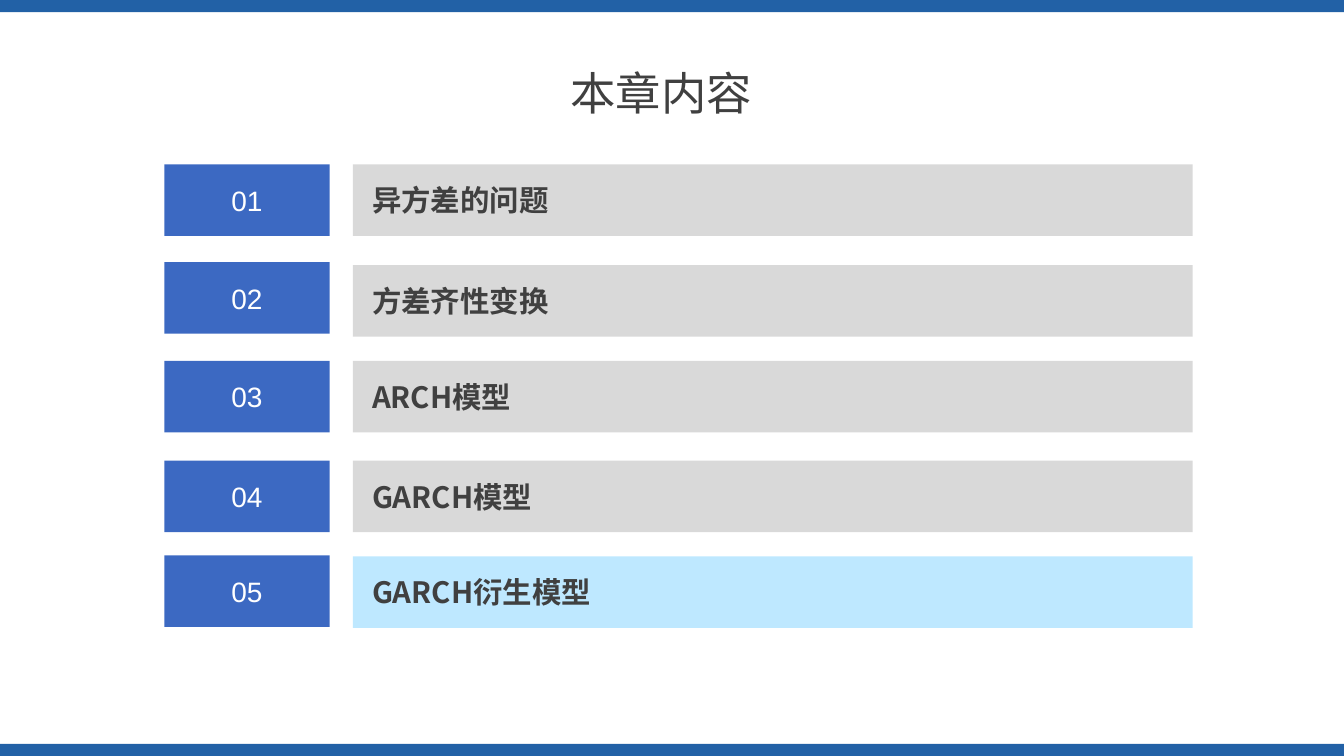
from pptx import Presentation
from pptx.dml.color import RGBColor
from pptx.enum.shapes import MSO_SHAPE as Shape
from pptx.enum.text import MSO_ANCHOR as Anchor, PP_ALIGN as Align
from pptx.oxml.ns import qn
from pptx.util import Inches, Pt
from lxml import etree

WIDTH, HEIGHT = 13.33, 7.5
BAND_HEIGHT = 0.12
CHINESE_FONT = "Noto Sans CJK SC"

TITLE_FORMAT = {"name": CHINESE_FONT, "size": Pt(32.4)}
NUMBER_FORMAT = {"name": "Arial", "size": Pt(20)}
LABEL_FORMAT = {"name": CHINESE_FONT, "size": Pt(21), "bold": True}

# Chapter name, top of the number box, top of the label bar, bar colour
CHAPTERS = [
    ("异方差的问题", 1.63, 1.63, "D9D9D9"),
    ("方差齐性变换", 2.6, 2.63, "D9D9D9"),
    ("ARCH模型", 3.58, 3.58, "D9D9D9"),
    ("GARCH模型", 4.57, 4.57, "D9D9D9"),
    ("GARCH衍生模型", 5.51, 5.52, "BEE8FF"),
]


def color(value):
    return RGBColor.from_string(value)


def add_bar(slide, left, top, width, height, fill):
    shape = slide.shapes.add_shape(
        Shape.RECTANGLE, Inches(left), Inches(top), Inches(width), Inches(height))
    shape.shadow.inherit = False
    shape.fill.solid()
    shape.fill.fore_color.rgb = color(fill)
    shape.line.fill.background()
    return shape


def write(shape, text, font_format, text_color, align=Align.LEFT, inset=0.1):
    """Put one vertically centred line of text into a shape."""
    frame = shape.text_frame
    frame.word_wrap = True
    frame.vertical_anchor = Anchor.MIDDLE
    frame.margin_left = Inches(inset)
    paragraph = frame.paragraphs[0]
    paragraph.alignment = align
    run = paragraph.add_run()
    run.text = text
    for name, value in font_format.items():
        setattr(run.font, name, value)
    run.font.color.rgb = color(text_color)
    east_asian = etree.SubElement(run.font._element, qn("a:ea"))
    east_asian.set("typeface", font_format["name"])


def add_bands(slide):
    for top in (0, HEIGHT - BAND_HEIGHT):
        add_bar(slide, 0, top, WIDTH, BAND_HEIGHT, "2261A6")


def add_title(slide, left, top, width, height):
    box = slide.shapes.add_textbox(
        Inches(left), Inches(top), Inches(width), Inches(height))
    write(box, "本章内容", TITLE_FORMAT, "404040")


def add_chapters(slide, left, width, row_height=0.71):
    number_width, label_offset = 1.64, 1.87
    for number, (name, number_top, label_top, fill) in enumerate(CHAPTERS, 1):
        number_box = add_bar(
            slide, left, number_top, number_width, row_height, "3C69C2")
        write(number_box, f"{number:02}", NUMBER_FORMAT, "FFFFFF", Align.CENTER)
        label_bar = add_bar(slide, left + label_offset, label_top,
                            width - label_offset, row_height, fill)
        write(label_bar, name, LABEL_FORMAT, "404040", inset=0.19)


def main():
    presentation = Presentation()
    presentation.slide_width = Inches(WIDTH)
    presentation.slide_height = Inches(HEIGHT)
    slide = presentation.slides.add_slide(presentation.slide_layouts[6])
    add_bands(slide)
    add_title(slide, 5.56, 0.56, 2.22, 0.71)
    add_chapters(slide, 1.63, 10.2)
    presentation.save("out.pptx")


if __name__ == "__main__":
    main()
